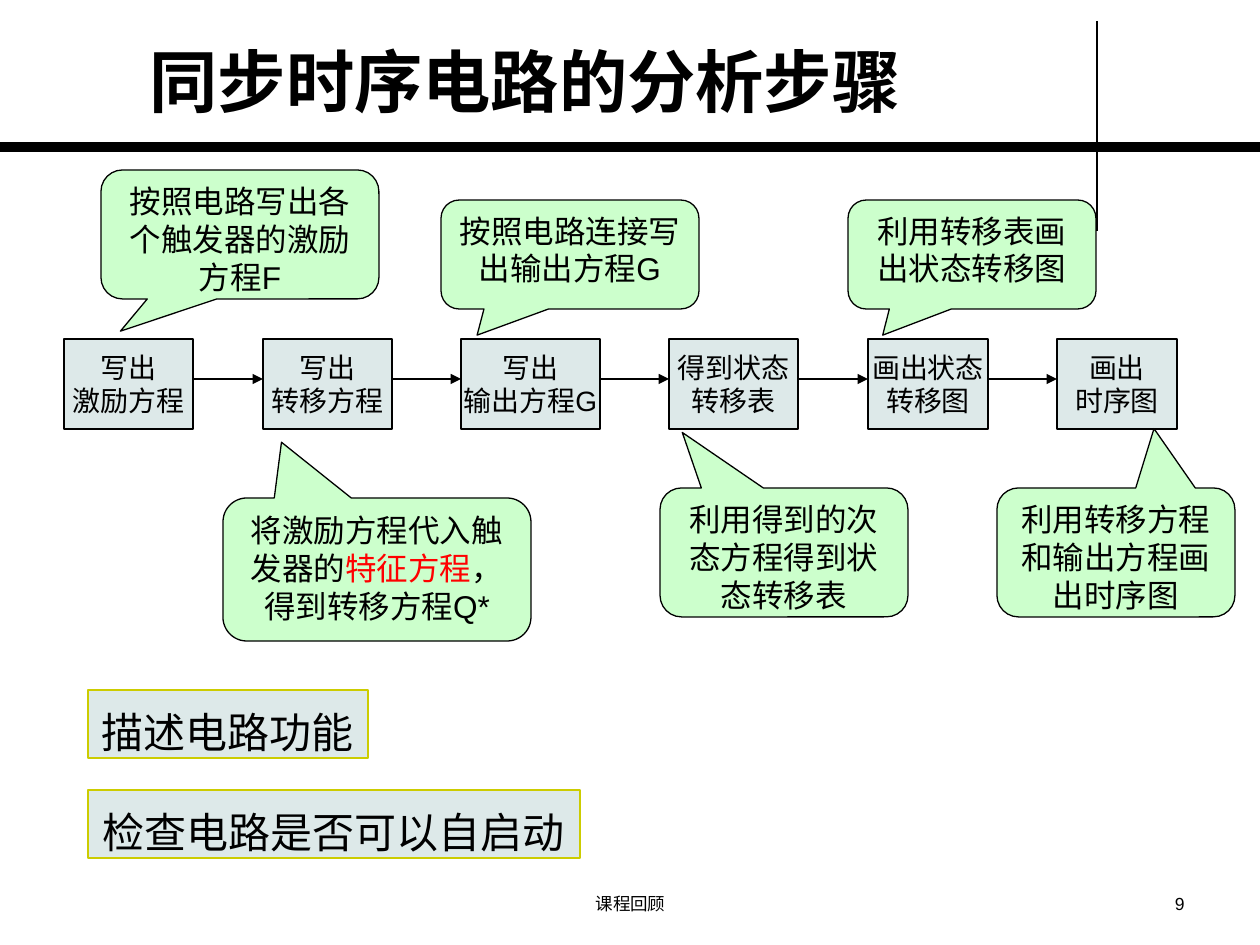
from dataclasses import dataclass
from itertools import pairwise

from lxml.etree import SubElement
from pptx import Presentation
from pptx.dml.color import RGBColor
from pptx.enum.shapes import MSO_CONNECTOR as Connector, MSO_SHAPE as Shape
from pptx.enum.text import MSO_ANCHOR as Anchor, MSO_AUTO_SIZE as AutoSize, PP_ALIGN as Align
from pptx.oxml.ns import qn
from pptx.util import Pt


@dataclass(frozen=True)
class Theme:
    font: str = "Arial"
    ink: str = "000000"
    accent: str = "FF0000"
    step_fill: str = "DDE9E9"
    note_fill: str = "CCFFCC"
    goal_line: str = "CCCC00"
    title_size: int = 39
    goal_size: int = 24
    note_size: int = 18
    step_size: int = 16
    footer_size: int = 10
    thin: float = 0.75
    thick: float = 6


class SlideBuilder:
    EMU_PER_PX = 914400 / 126

    def __init__(self, slide, theme):
        self.slide = slide
        self.theme = theme

    @classmethod
    def px(cls, *lengths):
        return [round(length * cls.EMU_PER_PX) for length in lengths]

    def style_run(self, run, size, color=None, bold=False):
        run.font.name = self.theme.font
        run.font.size = Pt(size)
        run.font.bold = bold
        run.font.color.rgb = RGBColor.from_string(color or self.theme.ink)

    def style_text(self, frame, size, align, bold=False):
        for paragraph in frame.paragraphs:
            paragraph.alignment = align
            for run in paragraph.runs:
                self.style_run(run, size, bold=bold)

    def title(self, text, left, top, width, height):
        title = self.slide.shapes.title
        title.left, title.top, title.width, title.height = self.px(left, top, width, height)
        frame = title.text_frame
        frame.text = text
        frame.auto_size = AutoSize.NONE
        frame.vertical_anchor = Anchor.BOTTOM
        self.style_text(frame, self.theme.title_size, Align.LEFT, bold=True)

    def panel(self, kind, box, fill, line):
        panel = self.slide.shapes.add_shape(kind, *self.px(*box))
        panel.shadow.inherit = False
        panel.fill.solid()
        panel.fill.fore_color.rgb = RGBColor.from_string(fill)
        panel.line.color.rgb = RGBColor.from_string(line)
        panel.line.width = Pt(self.theme.thin)
        return panel

    def step(self, text, *box):
        step = self.panel(Shape.RECTANGLE, box, self.theme.step_fill, self.theme.ink)
        frame = step.text_frame
        frame.text = text
        frame.word_wrap = False
        frame.vertical_anchor = Anchor.MIDDLE
        self.style_text(frame, self.theme.step_size, Align.CENTER)

    def note(self, parts, tip, *box):
        note = self.panel(Shape.ROUNDED_RECTANGULAR_CALLOUT, box, self.theme.note_fill, self.theme.ink)
        note.adjustments[0], note.adjustments[1] = tip
        frame = note.text_frame
        frame.word_wrap = True
        frame.vertical_anchor = Anchor.TOP
        paragraph = frame.paragraphs[0]
        paragraph.alignment = Align.CENTER
        for text, color in parts:
            run = paragraph.add_run()
            run.text = text
            self.style_run(run, self.theme.note_size, color)

    def goal(self, text, *box):
        goal = self.panel(Shape.RECTANGLE, box, self.theme.step_fill, self.theme.goal_line)
        frame = goal.text_frame
        frame.text = text
        frame.word_wrap = False
        frame.auto_size = AutoSize.SHAPE_TO_FIT_TEXT
        frame.vertical_anchor = Anchor.TOP
        frame.paragraphs[0].line_spacing = 1.2
        self.style_text(frame, self.theme.goal_size, Align.CENTER)

    def footer(self, text, align, *box):
        frame = self.slide.shapes.add_textbox(*self.px(*box)).text_frame
        frame.text = text
        frame.word_wrap = True
        self.style_text(frame, self.theme.footer_size, align)

    def line(self, x1, y1, x2, y2, width=None, arrow=False):
        line = self.slide.shapes.add_connector(Connector.STRAIGHT, *self.px(x1, y1, x2, y2))
        line.line.color.rgb = RGBColor.from_string(self.theme.ink)
        line.line.width = Pt(width or self.theme.thin)
        properties = line._element.spPr
        if arrow:
            SubElement(properties.find(qn("a:ln")), qn("a:tailEnd"), type="triangle")
        SubElement(properties, qn("a:effectLst"))


def main():
    theme = Theme()
    deck = Presentation()
    deck.slide_width, deck.slide_height = SlideBuilder.px(1260, 945)
    builder = SlideBuilder(deck.slides.add_slide(deck.slide_layouts[5]), theme)

    builder.line(1097, 21, 1097, 231)
    builder.line(0, 147, 1260, 147, theme.thick)
    builder.title("同步时序电路的分析步骤", 137, 25, 951, 102)

    steps = [
        ("写出\n激励方程", 64, 129),
        ("写出\n转移方程", 263, 129),
        ("写出\n输出方程G", 461, 139),
        ("得到状态\n转移表", 669, 129),
        ("画出状态\n转移图", 868, 120),
        ("画出\n时序图", 1057, 120),
    ]
    step_top, step_height, arrow_y = 339, 90, 379
    for text, left, width in steps:
        builder.step(text, left, step_top, width, step_height)
    for (_, left, width), (_, next_left, _) in pairwise(steps):
        builder.line(left + width, arrow_y, next_left, arrow_y, arrow=True)

    ink = theme.ink
    notes = [
        ([("按照电路写出各个触发器的激励方程F", ink)], (-0.43, 0.75), 101, 170, 278, 129),
        ([("将激励方程代入触发器的", ink), ("特征方程", theme.accent), ("，得到转移方程Q*", ink)],
         (-0.31, -0.89), 223, 498, 308, 143),
        ([("按照电路连接写出输出方程G", ink)], (-0.36, 0.74), 441, 200, 258, 109),
        ([("利用得到的次态方程得到状态转移表", ink)], (-0.41, -0.93), 660, 488, 248, 129),
        ([("利用转移表画出状态转移图", ink)], (-0.36, 0.74), 848, 200, 248, 109),
        ([("利用转移方程和输出方程画出时序图", ink)], (0.16, -0.96), 997, 488, 238, 129),
    ]
    for note in notes:
        builder.note(*note)

    builder.footer("9", Align.RIGHT, 903, 887, 294, 37)
    builder.footer("课程回顾", Align.CENTER, 431, 887, 399, 37)
    builder.goal("描述电路功能", 88, 690, 280, 68)
    builder.goal("检查电路是否可以自启动", 88, 790, 492, 68)

    deck.save("out.pptx")


if __name__ == "__main__":
    main()
